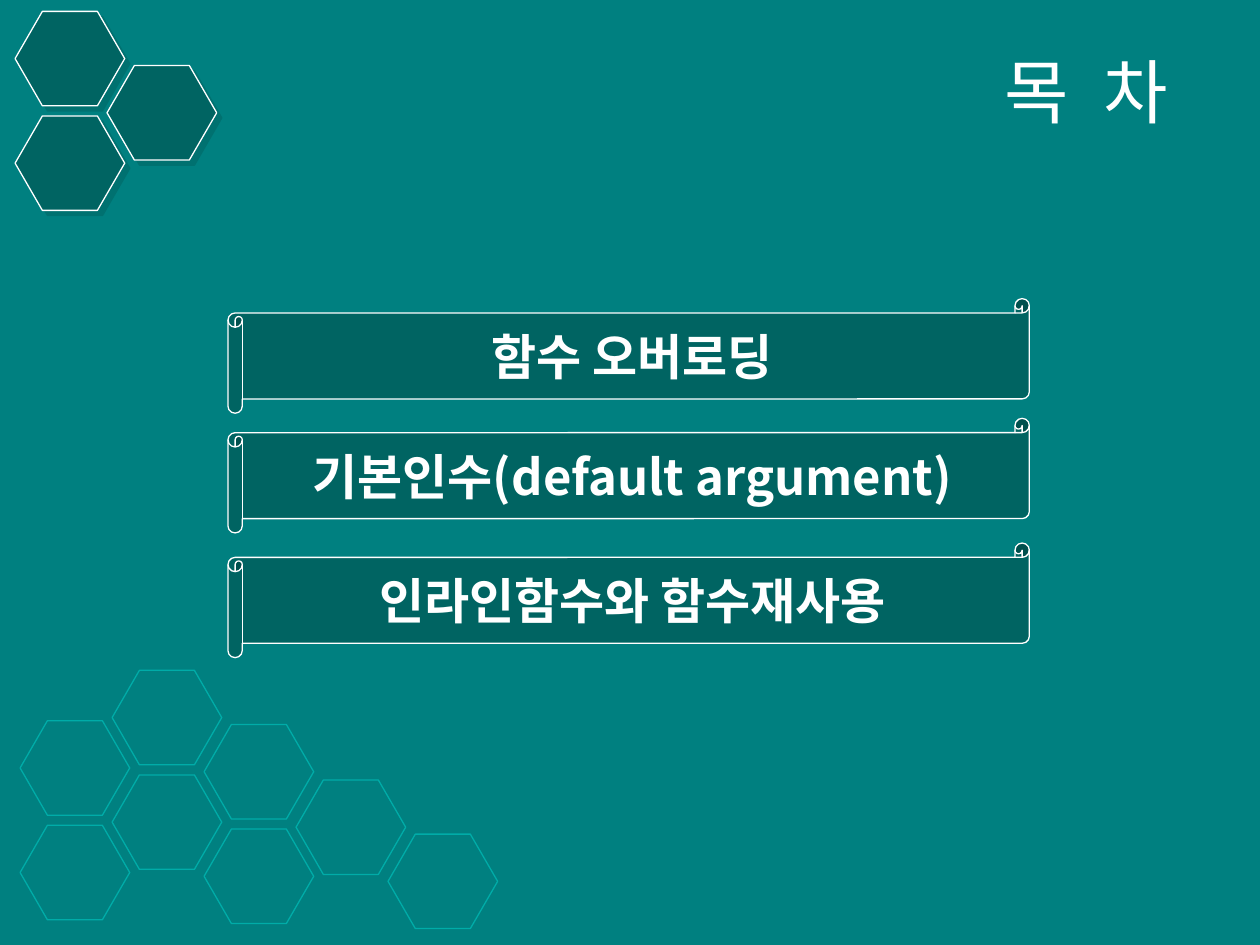
import pptx
import pptx.dml.color
import pptx.enum.shapes
import pptx.enum.text
import pptx.oxml
import pptx.oxml.ns
import pptx.util
from pptx.util import Inches

COLORS = {"background": "008080", "panel": "006462", "outline": "00ACA8", "white": "FFFFFF"}
KOREAN_FONT = "Noto Sans CJK KR"

TITLE = {"words": ("목", "차"), "at": (1.85, 0.28, 7.52, 0.87)}
TOPICS = [
    ("함수 오버로딩", 2.37),
    ("기본인수(default argument)", 3.32),
    ("인라인함수와 함수재사용", 4.31),
]
TOPIC_LEFT, TOPIC_WIDTH, TOPIC_HEIGHT = 1.81, 6.36, 0.91

HEXAGON_WIDTH, HEXAGON_HEIGHT = 0.87, 0.75
COLUMN_PITCH, ROW_PITCH = 0.73, 0.83
HONEYCOMBS = [
    {"left": 0.16, "columns": [(5.72, 2), (5.32, 2), (5.75, 2), (6.19, 1), (6.62, 1)],
     "fill": None, "line": "outline"},
    {"left": 0.12, "columns": [(0.09, 2), (0.52, 1)], "fill": "panel", "line": "white"},
]
TITLE_FORMAT = {"size": pptx.util.Pt(40), "name": "Arial", "bold": False}
TOPIC_FORMAT = {"size": pptx.util.Pt(28), "name": KOREAN_FONT, "bold": True}
SHADOW = (
    f'<a:effectLst {pptx.oxml.ns.nsdecls("a")}>'
    '<a:outerShdw dist="53340" dir="2700000" algn="ctr" rotWithShape="0">'
    f'<a:srgbClr val="{COLORS["panel"]}"><a:alpha val="50000"/></a:srgbClr>'
    '</a:outerShdw></a:effectLst>'
)


def color(name):
    return pptx.dml.color.RGBColor.from_string(COLORS[name])


def add_panel(shapes, preset, at, fill, line):
    panel = shapes.add_shape(preset, *map(Inches, at))
    panel.shadow.inherit = False
    if fill:
        panel.fill.solid()
        panel.fill.fore_color.rgb = color(fill)
    else:
        panel.fill.background()
    panel.line.color.rgb = color(line)
    panel.line.width = pptx.util.Pt(0.75)
    return panel


def add_run(paragraph, text, font_format):
    run = paragraph.add_run()
    run.text = text
    for attribute, value in font_format.items():
        setattr(run.font, attribute, value)
    run.font.color.rgb = color("white")
    properties = run._r.get_or_add_rPr()
    properties.find(pptx.oxml.ns.qn("a:latin")).addnext(pptx.oxml.parse_xml(
        f'<a:ea {pptx.oxml.ns.nsdecls("a")} typeface="{KOREAN_FONT}"/>'))
    return properties


def add_honeycomb(slide, honeycomb):
    cluster = slide.shapes.add_group_shape()
    for column, (top, count) in enumerate(honeycomb["columns"]):
        for row in range(count):
            at = (honeycomb["left"] + column * COLUMN_PITCH, top + row * ROW_PITCH,
                  HEXAGON_WIDTH, HEXAGON_HEIGHT)
            hexagon = add_panel(cluster.shapes, pptx.enum.shapes.MSO_SHAPE.HEXAGON, at,
                                honeycomb["fill"], honeycomb["line"])
            hexagon.adjustments[0] = 0.289
            if honeycomb["fill"]:
                properties = hexagon._element.spPr
                properties.replace(properties.find(pptx.oxml.ns.qn("a:effectLst")),
                                   pptx.oxml.parse_xml(SHADOW))


def add_title(slide):
    title = slide.shapes.add_textbox(*map(Inches, TITLE["at"])).text_frame
    title.word_wrap = True
    title.vertical_anchor = pptx.enum.text.MSO_ANCHOR.MIDDLE
    heading = title.paragraphs[0]
    heading.alignment = pptx.enum.text.PP_ALIGN.RIGHT
    first, last = TITLE["words"]
    add_run(heading, first, TITLE_FORMAT)
    add_run(heading, " ", TITLE_FORMAT).set("spc", "1100")
    add_run(heading, last, TITLE_FORMAT)


def add_topic(slide, topic, top):
    scroll = add_panel(slide.shapes, pptx.enum.shapes.MSO_SHAPE.HORIZONTAL_SCROLL,
                       (TOPIC_LEFT, top, TOPIC_WIDTH, TOPIC_HEIGHT), "panel", "white")
    scroll.text_frame.vertical_anchor = pptx.enum.text.MSO_ANCHOR.MIDDLE
    label = scroll.text_frame.paragraphs[0]
    label.alignment = pptx.enum.text.PP_ALIGN.CENTER
    add_run(label, topic, TOPIC_FORMAT)


def main():
    deck = pptx.Presentation()
    deck.slide_width, deck.slide_height = Inches(10), Inches(7.5)
    slide = deck.slides.add_slide(deck.slide_layouts[6])
    slide.background.fill.solid()
    slide.background.fill.fore_color.rgb = color("background")
    for honeycomb in HONEYCOMBS:
        add_honeycomb(slide, honeycomb)
    add_title(slide)
    for topic, top in TOPICS:
        add_topic(slide, topic, top)
    deck.save("out.pptx")


if __name__ == "__main__":
    main()
